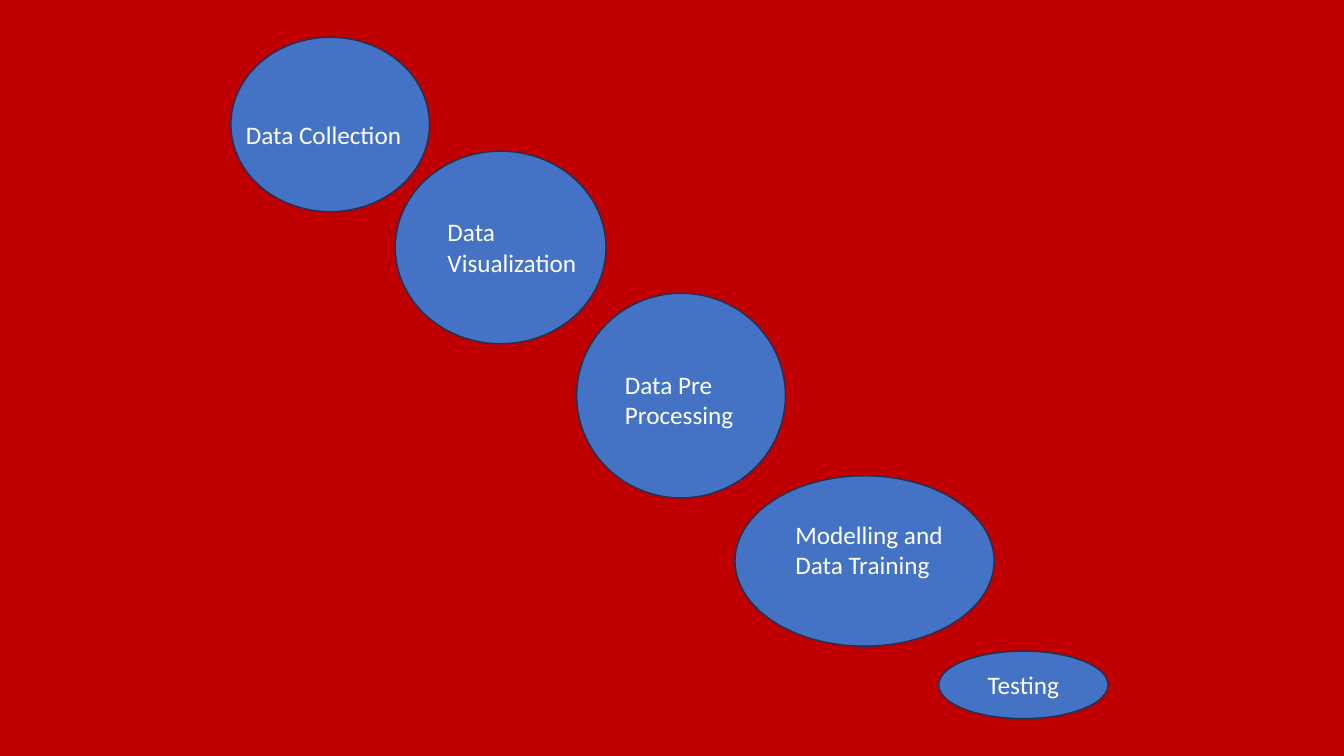
import dataclasses
import typing

import pptx
import pptx.dml.color
import pptx.enum.shapes
import pptx.enum.text
import pptx.util

Inches = pptx.util.Inches
Bounds = tuple[float, float, float, float]
SHAPES = pptx.enum.shapes.MSO_SHAPE
COLOURS = {"background": "C00000", "step": "4472C4", "outline": "1E3256", "text": "FFFFFF"}
LABEL_FONT = {"name": "Calibri", "size": pptx.util.Pt(18)}
LABEL_FRAME = {"word_wrap": True, "auto_size": pptx.enum.text.MSO_AUTO_SIZE.SHAPE_TO_FIT_TEXT}
OVAL_FRAME = {"word_wrap": True, "vertical_anchor": pptx.enum.text.MSO_ANCHOR.MIDDLE}


@dataclasses.dataclass(frozen=True)
class Step:
    """A process step; without label bounds, its text sits inside the oval."""

    text: str
    oval: Bounds
    label: typing.Optional[Bounds] = None
    outline: SHAPES = SHAPES.FLOWCHART_CONNECTOR


STEPS = [
    Step("Data Collection", (2.29, 0.37, 1.97, 1.73), (2.34, 1.13, 2.09, 0.4)),
    Step("Data Visualization", (3.92, 1.5, 2.09, 1.91), (4.34, 2.1, 1.9, 0.71)),
    Step("Data Pre Processing", (5.72, 2.91, 2.07, 2.03), (6.1, 3.61, 1.97, 0.71), SHAPES.OVAL),
    Step("Modelling and Data Training", (7.29, 4.72, 2.57, 1.69), (7.79, 5.1, 1.76, 0.71)),
    Step("Testing", (9.31, 6.46, 1.68, 0.67)),
]


def colour(name: str) -> pptx.dml.color.RGBColor:
    return pptx.dml.color.RGBColor.from_string(COLOURS[name])


def set_attributes(target: typing.Any, values: dict[str, typing.Any]) -> None:
    for name, value in values.items():
        setattr(target, name, value)


def write_text(
    frame: typing.Any,
    text: str,
    frame_format: dict[str, typing.Any],
    alignment: pptx.enum.text.PP_ALIGN,
) -> None:
    set_attributes(frame, frame_format)
    para = frame.paragraphs[0]
    para.alignment = alignment
    span = para.add_run()
    span.text = text
    set_attributes(span.font, LABEL_FONT)
    span.font.color.rgb = colour("text")


def draw_step(page: typing.Any, step: Step) -> None:
    oval = page.shapes.add_shape(step.outline, *map(Inches, step.oval))
    oval.shadow.inherit = False
    oval.fill.solid()
    oval.fill.fore_color.rgb = colour("step")
    oval.line.color.rgb = colour("outline")
    oval.line.width = pptx.util.Pt(1)
    if step.label is None:
        write_text(oval.text_frame, step.text, OVAL_FRAME, pptx.enum.text.PP_ALIGN.CENTER)
    else:
        box = page.shapes.add_textbox(*map(Inches, step.label))
        write_text(box.text_frame, step.text, LABEL_FRAME, pptx.enum.text.PP_ALIGN.LEFT)


def main() -> None:
    deck = pptx.Presentation()
    set_attributes(deck, {"slide_width": Inches(13.33), "slide_height": Inches(7.5)})
    page = deck.slides.add_slide(deck.slide_layouts.get_by_name("Blank"))
    page.background.fill.solid()
    page.background.fill.fore_color.rgb = colour("background")
    for step in STEPS:
        draw_step(page, step)
    deck.save("out.pptx")


if __name__ == "__main__":
    main()
